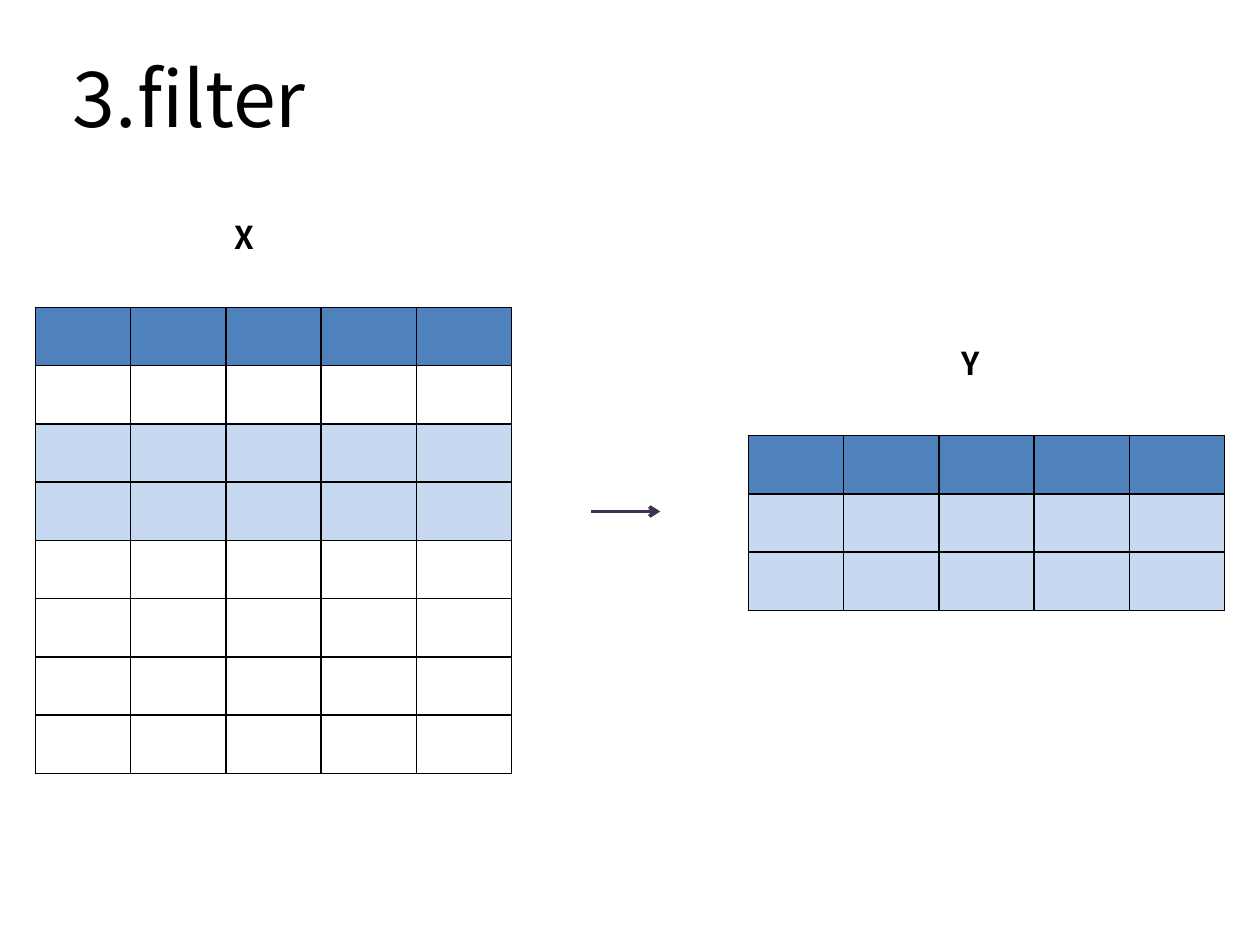
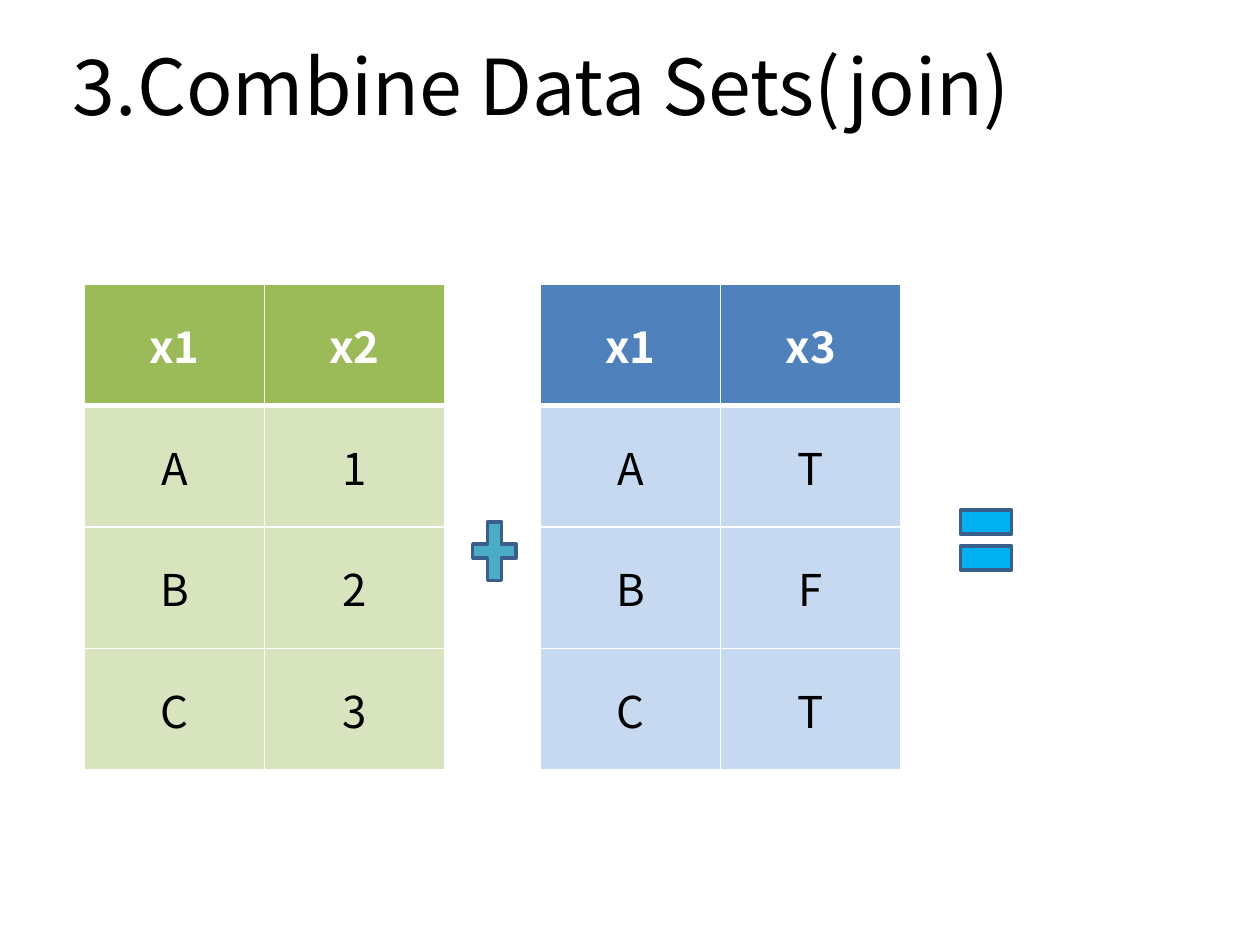
import dataclasses

import lxml.etree
import pptx
import pptx.dml.color
import pptx.enum.shapes
import pptx.enum.text
import pptx.oxml.ns
import pptx.util

Pt = pptx.util.Pt
Align = pptx.enum.text.PP_ALIGN
Preset = pptx.enum.shapes.MSO_SHAPE


@dataclasses.dataclass(frozen=True)
class Theme:
    font: str = "Noto Sans CJK KR"
    title_size: int = 44
    cell_size: int = 25
    label_size: int = 18
    black: str = "000000"
    white: str = "FFFFFF"
    blue: str = "4F81BD"
    pale_blue: str = "C6D9F1"
    green: str = "9BBB59"
    pale_green: str = "D7E4BD"
    teal: str = "4BACC6"
    sky: str = "00B0F0"
    outline: str = "3A5F8C"
    arrow: str = "403152"
    grid_line: int = 1
    header_line: int = 3
    symbol_line: int = 2


@dataclasses.dataclass(frozen=True)
class Box:
    left: float
    top: float
    width: float
    height: float

    def points(self):
        return [Pt(length) for length in dataclasses.astuple(self)]

    def within(self, left, top, width, height):
        return Box(self.left + left, self.top + top, width, height)


THEME = Theme()
PAGE = Box(0, 0, 720, 540)
FILTER_COLUMNS = 5
FILTER_ROW = 33.3


def rgb(code):
    return pptx.dml.color.RGBColor.from_string(code)


def add_xml(parent, tag, **attributes):
    return lxml.etree.SubElement(parent, pptx.oxml.ns.qn(tag), attributes)


def style_text(frame, size, color, bold=False, align=Align.LEFT):
    for para in frame.paragraphs:
        para.alignment = align
        for span in para.runs:
            span.font.name = THEME.font
            span.font.size = Pt(size)
            span.font.bold = bold
            span.font.color.rgb = rgb(color)


def add_text(page, box, text, size, inset_top=0, **style):
    frame = page.shapes.add_textbox(*box.points()).text_frame
    frame.word_wrap = True
    frame.margin_top = Pt(inset_top)
    frame.text = text
    style_text(frame, size, THEME.black, **style)
    return frame


def add_title(page, box, text):
    frame = add_text(page, box, text, THEME.title_size, inset_top=2)
    frame.paragraphs[0].line_spacing = 0.9


def set_borders(cell, color, widths):
    properties = cell._tc.get_or_add_tcPr()
    for side in "LRTB":
        width = widths.get(side, THEME.grid_line)
        line = add_xml(properties, f"a:ln{side}", w=str(Pt(width)))
        fill = add_xml(line, "a:solidFill")
        add_xml(fill, "a:srgbClr", val=color)


def add_grid(page, box, rows, row_fills, line_color, header_line):
    table = page.shapes.add_table(len(rows), len(rows[0]), *box.points()).table
    table.first_row = table.horz_banding = False
    for column in table.columns:
        column.width = Pt(box.width / len(rows[0]))
    for index, (values, fill) in enumerate(zip(rows, row_fills)):
        table.rows[index].height = Pt(box.height / len(rows))
        widths = {0: {"B": header_line}, 1: {"T": header_line}}.get(index, {})
        for cell, value in zip(table.rows[index].cells, values):
            set_borders(cell, line_color, widths)
            if fill:
                cell.fill.solid()
                cell.fill.fore_color.rgb = rgb(fill)
            else:
                cell.fill.background()
            if value:
                cell.text = value
                cell.vertical_anchor = pptx.enum.text.MSO_ANCHOR.MIDDLE
                cell.margin_top = cell.margin_bottom = 0
                is_header = index == 0
                color = THEME.white if is_header else THEME.black
                style_text(cell.text_frame, THEME.cell_size, color,
                           bold=is_header, align=Align.CENTER)


def add_blank_table(page, box, row_fills):
    rows = [[""] * FILTER_COLUMNS for _ in row_fills]
    add_grid(page, box, rows, row_fills, THEME.black, THEME.grid_line)


def add_data_table(page, box, rows, header_fill, body_fill):
    row_fills = [header_fill] + [body_fill] * (len(rows) - 1)
    add_grid(page, box, rows, row_fills, THEME.white, THEME.header_line)


def add_arrow(page, box):
    left, top, width, _ = box.points()
    arrow = page.shapes.add_connector(
        pptx.enum.shapes.MSO_CONNECTOR.STRAIGHT, left, top, left + width, top)
    arrow.line.color.rgb = rgb(THEME.arrow)
    arrow.line.width = Pt(THEME.symbol_line)
    add_xml(arrow.line._get_or_add_ln(), "a:tailEnd", type="arrow")
    add_xml(arrow._element.spPr, "a:effectLst")


def add_symbol(page, box, preset, fill):
    symbol = page.shapes.add_shape(preset, *box.points())
    symbol.shadow.inherit = False
    symbol.fill.solid()
    symbol.fill.fore_color.rgb = rgb(fill)
    symbol.line.color.rgb = rgb(THEME.outline)
    symbol.line.width = Pt(THEME.symbol_line)


def build_filter_page(page, box):
    header, kept = [THEME.blue], [THEME.pale_blue] * 2
    source_fills = header + [None] + kept + [None] * 4
    result_fills = header + kept
    for left, top, fills in ((20.2, 175.7, source_fills), (427.7, 249, result_fills)):
        table_box = box.within(left, top, 272.2, FILTER_ROW * len(fills))
        add_blank_table(page, table_box, fills)
    add_title(page, box.within(34.6, 33.1, 648, 68.4), "3.filter")
    add_arrow(page, box.within(337.7, 292.3, 39.6, 0))
    for left, top, label, align in ((126.7, 124.6, "X", Align.LEFT),
                                    (526.3, 196.6, "Y", Align.CENTER)):
        add_text(page, box.within(left, top, 56.9, 28.8), label,
                 THEME.label_size, bold=True, align=align)


def build_join_page(page, box):
    add_title(page, box.within(34.6, 25.9, 648, 68.4), "3.Combine Data Sets(join)")
    right_rows = [("x1", "x3"), ("A", "T"), ("B", "F"), ("C", "T")]
    left_rows = [("x1", "x2"), ("A", "1"), ("B", "2"), ("C", "3")]
    for left, rows, header_fill, body_fill in (
            (308.9, right_rows, THEME.blue, THEME.pale_blue),
            (48.2, left_rows, THEME.green, THEME.pale_green)):
        table_box = box.within(left, 162.3, 205.9, 277.6)
        add_data_table(page, table_box, rows, header_fill, body_fill)
    add_symbol(page, box.within(265.7, 292.3, 33.8, 45.4), Preset.MATH_PLUS, THEME.teal)
    add_symbol(page, box.within(543.6, 279.4, 39.6, 58.3), Preset.MATH_EQUAL, THEME.sky)


def main():
    deck = pptx.Presentation()
    deck.slide_width, deck.slide_height = Pt(PAGE.width), Pt(PAGE.height)
    for build_page in (build_filter_page, build_join_page):
        build_page(deck.slides.add_slide(deck.slide_layouts[6]), PAGE)
    deck.save("out.pptx")


if __name__ == "__main__":
    main()
